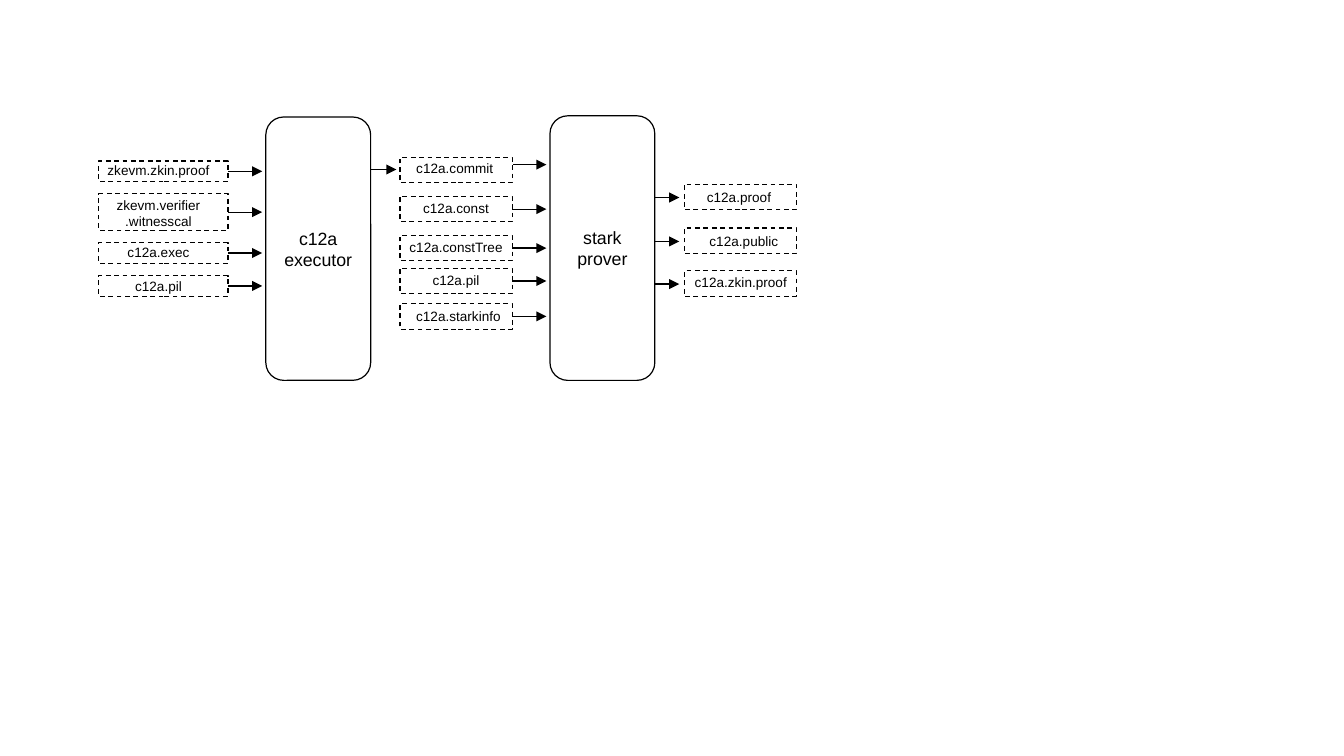
from dataclasses import dataclass

from lxml import etree
from pptx import Presentation
from pptx.dml.color import RGBColor
from pptx.enum.dml import MSO_LINE
from pptx.enum.shapes import MSO_CONNECTOR, MSO_SHAPE
from pptx.enum.text import MSO_ANCHOR, MSO_AUTO_SIZE, PP_ALIGN
from pptx.oxml.ns import qn
from pptx.util import Inches, Pt

STRAIGHT = MSO_CONNECTOR.STRAIGHT
RECTANGLE, ROUNDED = MSO_SHAPE.RECTANGLE, MSO_SHAPE.ROUNDED_RECTANGLE
DASH = MSO_LINE.DASH
MIDDLE, CENTER = MSO_ANCHOR.MIDDLE, PP_ALIGN.CENTER
FIT_SHAPE = MSO_AUTO_SIZE.SHAPE_TO_FIT_TEXT
RIGHT_SIDE = 3

COLORS = {"ink": "000000", "paper": "FFFFFF"}
FONT = "Arial"
LINE_WIDTH = 0.71
LABEL_HEIGHT = 0.35


@dataclass
class Panel:
    text: str
    left: float
    top: float
    height: float
    width: float = 0.86


@dataclass
class File:
    text: str
    top: float
    label_left: float
    label_top: float
    label_width: float


@dataclass
class Column:
    left: float
    width: float
    box_height: float
    files: list[File]


PANELS = [
    Panel("c12a\nexecutor", 2.18, 0.96, 2.16),
    Panel("stark\nprover", 4.51, 0.95, 2.17),
]
EXECUTOR_INPUTS = Column(0.81, 1.06, 0.17, [
    File("zkevm.zkin.proof", 1.32, 0.71, 1.22, 1.18),
    File("zkevm.verifier\n.witnesscal", 1.59, 0.71, 1.57, 1.18),
    File("c12a.exec", 1.99, 0.71, 1.89, 1.18),
    File("c12a.pil", 2.26, 0.71, 2.17, 1.18),
])
PROVER_INPUTS = Column(3.28, 0.92, 0.21, [
    File("c12a.commit", 1.29, 3.05, 1.2, 1.36),
    File("c12a.const", 1.61, 3.32, 1.53, 0.84),
    File("c12a.constTree", 1.93, 3.12, 1.85, 1.24),
    File("c12a.pil", 2.2, 3.31, 2.12, 0.86),
    File("c12a.starkinfo", 2.49, 3.26, 2.42, 1.0),
])
PROVER_OUTPUTS = Column(5.61, 0.92, 0.21, [
    File("c12a.proof", 1.51, 5.63, 1.44, 0.86),
    File("c12a.public", 1.87, 5.67, 1.8, 0.86),
    File("c12a.zkin.proof", 2.22, 5.49, 2.14, 1.17),
])
TWO_LINE_HEIGHT = 0.3


def color(name: str) -> RGBColor:
    return RGBColor.from_string(COLORS[name])


def set_line(line) -> None:
    line.color.rgb = color("ink")
    line.width = Pt(LINE_WIDTH)


def set_text(shape, text: str, size: float) -> None:
    frame = shape.text_frame
    frame.word_wrap = True
    frame.vertical_anchor = MIDDLE
    frame.text = text
    for paragraph in frame.paragraphs:
        paragraph.alignment = CENTER
        paragraph.font.name = FONT
        paragraph.font.size = Pt(size)
        paragraph.font.color.rgb = color("ink")


def add_panel(slide, panel: Panel) -> None:
    shape = slide.shapes.add_shape(
        ROUNDED, Inches(panel.left), Inches(panel.top),
        Inches(panel.width), Inches(panel.height))
    shape.adjustments[0] = 0.17
    shape.shadow.inherit = False
    shape.fill.solid()
    shape.fill.fore_color.rgb = color("paper")
    set_line(shape.line)
    set_text(shape, panel.text, 10.5)


def add_arrow(slide, start: float, end: float, y: float):
    arrow = slide.shapes.add_connector(
        STRAIGHT, Inches(start), Inches(y), Inches(end), Inches(y))
    set_line(arrow.line)
    etree.SubElement(arrow.line._get_or_add_ln(), qn("a:tailEnd"), type="triangle")
    etree.SubElement(arrow._element.spPr, qn("a:effectLst"))
    return arrow


def add_column(slide, column: Column) -> list:
    """Draw the dashed boxes with their labels and return the boxes."""
    boxes = []
    for file in column.files:
        height = TWO_LINE_HEIGHT if "\n" in file.text else column.box_height
        box = slide.shapes.add_shape(
            RECTANGLE, Inches(column.left), Inches(file.top),
            Inches(column.width), Inches(height))
        box.shadow.inherit = False
        box.fill.background()
        set_line(box.line)
        box.line.dash_style = DASH
        boxes.append(box)

        label = slide.shapes.add_textbox(
            Inches(file.label_left), Inches(file.label_top),
            Inches(file.label_width), Inches(LABEL_HEIGHT))
        set_text(label, file.text, 8)
        label.text_frame.auto_size = FIT_SHAPE
    return boxes


def add_joined_arrows(slide, boxes: list, end: float) -> None:
    """Lead an arrow from the right side of each box to the given x."""
    for box in boxes:
        middle = (box.top + box.height / 2) / Inches(1)
        start = (box.left + box.width) / Inches(1)
        arrow = add_arrow(slide, start, end, middle)
        arrow.begin_connect(box, RIGHT_SIDE)


def main() -> None:
    presentation = Presentation()
    presentation.slide_width = Inches(11.02)
    presentation.slide_height = Inches(6.2)
    slide = presentation.slides.add_slide(presentation.slide_layouts[6])

    # Processing steps
    for panel in PANELS:
        add_panel(slide, panel)

    # Files read by the executor
    add_joined_arrows(slide, add_column(slide, EXECUTOR_INPUTS), 2.15)

    # Files read by the prover; the commit comes from the executor
    prover_boxes = add_column(slide, PROVER_INPUTS)
    add_arrow(slide, 3.04, 3.25, 1.39)
    add_arrow(slide, 4.21, 4.48, 1.35)
    add_joined_arrows(slide, prover_boxes[1:], 4.48)

    # Files written by the prover
    add_column(slide, PROVER_OUTPUTS)
    for y in (1.62, 1.98, 2.33):
        add_arrow(slide, 5.37, 5.57, y)

    presentation.save("out.pptx")


if __name__ == "__main__":
    main()
